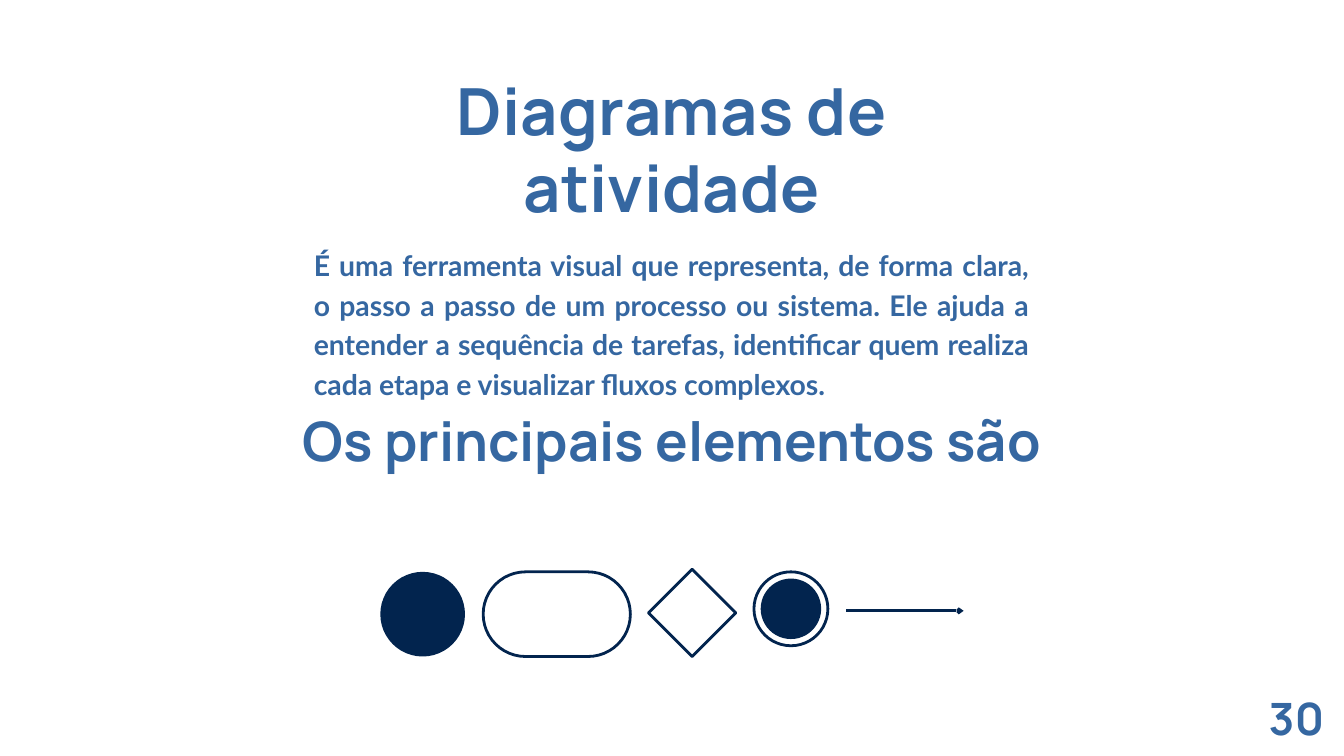
"""Builds the slide on activity diagrams and their main symbols."""
from dataclasses import dataclass
from typing import NamedTuple, Optional

import pptx
import pptx.dml.color
import pptx.enum.shapes
import pptx.enum.text
import pptx.oxml.ns
import pptx.util
from lxml import etree

MSO = pptx.enum.shapes.MSO_SHAPE
ALIGN = pptx.enum.text.PP_ALIGN
COLS, ROWS = 20, 11.25
WIDTH, HEIGHT = pptx.util.Inches(20), pptx.util.Inches(11.25)


@dataclass(frozen=True)
class Theme:
    text: str = "3567A1"
    ink: str = "02244E"
    paper: str = "FFFFFF"
    heading_font: str = "Manrope"
    body_font: str = "Lato"
    title: float = 69.6
    subtitle: float = 58.2
    number: float = 47.7
    body: float = 30.4
    stroke: float = 3


class Box(NamedTuple):
    col: float
    row: float
    cols: float
    rows: float


class Symbol(NamedTuple):
    kind: MSO
    box: Box
    fill: Optional[str]
    outlined: bool


THEME = Theme()
SYMBOLS = [
    Symbol(MSO.OVAL, Box(5.66, 8.51, 1.26, 1.26), THEME.ink, False),
    Symbol(MSO.ROUNDED_RECTANGLE, Box(7.19, 8.51, 2.19, 1.26), THEME.paper, True),
    Symbol(MSO.DIAMOND, Box(9.65, 8.47, 1.3, 1.3), THEME.paper, True),
    Symbol(MSO.OVAL, Box(11.32, 8.61, 0.9, 0.9), THEME.ink, False),
    Symbol(MSO.OVAL, Box(11.22, 8.51, 1.1, 1.1), None, True),
]


def x(cols: float) -> int:
    """Return the length of a number of grid columns."""
    return round(WIDTH * cols / COLS)


def y(rows: float) -> int:
    """Return the length of a number of grid rows."""
    return round(HEIGHT * rows / ROWS)


def place(box: Box) -> tuple[int, int, int, int]:
    """Return the left, top, width and height of a grid box."""
    return x(box.col), y(box.row), x(box.cols), y(box.rows)


def rgb(color: str) -> pptx.dml.color.RGBColor:
    """Return a colour object for a hex string."""
    return pptx.dml.color.RGBColor.from_string(color)


def add_text(s, text: str, box: Box, *, size: float, leading: float,
             font: str = THEME.heading_font, align: ALIGN = ALIGN.CENTER,
             tracking: int = 0) -> None:
    """Add a bold text box, with tracking in hundredths of a point."""
    tf = s.shapes.add_textbox(*place(box)).text_frame
    tf.word_wrap = True
    tf.margin_left = tf.margin_right = tf.margin_top = tf.margin_bottom = 0
    p = tf.paragraphs[0]
    p.alignment = align
    p.line_spacing = pptx.util.Pt(leading)
    r = p.add_run()
    r.text = text
    r.font.name = font
    r.font.size = pptx.util.Pt(size)
    r.font.bold = True
    r.font.color.rgb = rgb(THEME.text)
    if tracking:
        r.font._element.set("spc", str(tracking))


def set_stroke(line) -> None:
    """Give a line the diagram colour and width."""
    line.color.rgb = rgb(THEME.ink)
    line.width = pptx.util.Pt(THEME.stroke)


def add_symbol(s, symbol: Symbol) -> None:
    """Draw one diagram symbol."""
    sp = s.shapes.add_shape(symbol.kind, *place(symbol.box))
    sp.shadow.inherit = False
    if symbol.kind == MSO.ROUNDED_RECTANGLE:
        sp.adjustments[0] = 0.5
    if symbol.fill:
        sp.fill.solid()
        sp.fill.fore_color.rgb = rgb(symbol.fill)
    else:
        sp.fill.background()
    if symbol.outlined:
        set_stroke(sp.line)
    else:
        sp.line.fill.background()


def add_arrow(s, start: float, end: float, row: float) -> None:
    """Draw a horizontal flow arrow between two columns."""
    arrow = s.shapes.add_connector(pptx.enum.shapes.MSO_CONNECTOR.STRAIGHT,
                                   x(start), y(row), x(end), y(row))
    set_stroke(arrow.line)
    qn = pptx.oxml.ns.qn
    etree.SubElement(arrow.line._get_or_add_ln(), qn("a:tailEnd"),
                     type="arrow", w="sm", len="sm")
    etree.SubElement(arrow._element.spPr, qn("a:effectLst"))


def main() -> None:
    """Build and save the slide."""
    prs = pptx.Presentation()
    prs.slide_width, prs.slide_height = WIDTH, HEIGHT
    s = prs.slides.add_slide(prs.slide_layouts[6])
    s.background.fill.solid()
    s.background.fill.fore_color.rgb = rgb(THEME.paper)

    add_text(s, "Diagramas de atividade", Box(5.75, 1.07, 8.5, 2.35),
             size=THEME.title, leading=82.1, tracking=30)
    add_text(s, "É uma ferramenta visual que representa, de forma clara, o passo a passo "
             "de um processo ou sistema. Ele ajuda a entender a sequência de tarefas, "
             "identificar quem realiza cada etapa e visualizar fluxos complexos.",
             Box(4.67, 3.61, 10.65, 2.31), size=THEME.body, leading=42.5,
             font=THEME.body_font, align=ALIGN.JUSTIFY)
    add_text(s, "Os principais elementos são", Box(4.05, 6.07, 11.91, 1.96),
             size=THEME.subtitle, leading=68.6, tracking=20)
    for symbol in SYMBOLS:
        add_symbol(s, symbol)
    add_arrow(s, 12.59, 14.34, 9.09)
    add_text(s, "30", Box(18.88, 10.3, 0.91, 0.84), size=THEME.number,
             leading=56.2, align=ALIGN.LEFT, tracking=20)
    prs.save("out.pptx")


if __name__ == "__main__":
    main()
